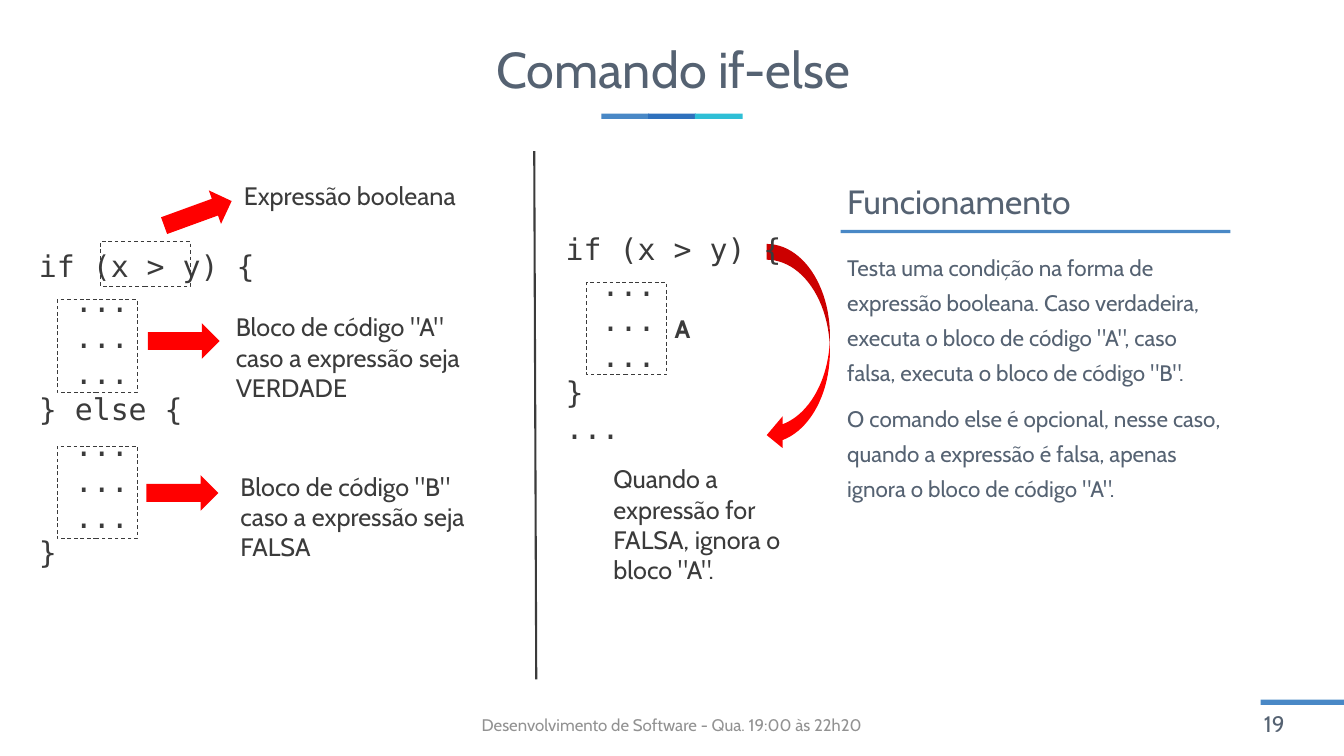
from lxml import etree
from pptx import Presentation
from pptx.dml.color import RGBColor
from pptx.enum.dml import MSO_LINE
from pptx.enum.shapes import MSO_CONNECTOR, MSO_SHAPE
from pptx.enum.text import MSO_ANCHOR, PP_ALIGN
from pptx.oxml.ns import qn
from pptx.util import Inches, Pt

RECTANGLE = MSO_SHAPE.RECTANGLE
RIGHT_ARROW = MSO_SHAPE.RIGHT_ARROW
CURVED_ARROW = MSO_SHAPE.CURVED_LEFT_ARROW
STRAIGHT = MSO_CONNECTOR.STRAIGHT
DASH = MSO_LINE.DASH
TOP, MIDDLE = MSO_ANCHOR.TOP, MSO_ANCHOR.MIDDLE
LEFT, CENTER = PP_ALIGN.LEFT, PP_ALIGN.CENTER

SANS, MONO = "Cabin", "DejaVu Sans Mono"
SLATE, DARK, GRAY = "556272", "3B3B3B", "929292"
BLUE, DEEP_BLUE, CYAN, RED = "4988C6", "2F71BD", "2FBFD6", "FF0000"
BAR = 0.08
CODE_INDENT = 0.535  # two monospaced characters at 32 pt


def color(value):
    return RGBColor.from_string(value)


def add_text(page, box, text, size=27, font=SANS, ink=DARK, bold=False,
             align=LEFT, anchor=TOP, spacing=None, before=None):
    """Each line of text is a paragraph; a leading tab indents it as code."""
    frame = page.shapes.add_textbox(*map(Inches, box)).text_frame
    frame.word_wrap = True
    frame.vertical_anchor = anchor
    for index, line in enumerate(text.split("\n")):
        para = frame.paragraphs[0] if index == 0 else frame.add_paragraph()
        para.alignment = align
        if spacing:
            para.line_spacing = spacing
        if before:
            para.space_before = Pt(before)
        if line.startswith("\t"):
            para._p.get_or_add_pPr().set("marL", str(Inches(CODE_INDENT)))
        span = para.add_run()
        span.text = line.strip()
        span.font.name = font
        span.font.size = Pt(size)
        span.font.bold = bold
        span.font.color.rgb = color(ink)


def add_code(page, box, text):
    add_text(page, box, text, size=32, font=MONO)


def add_solid(page, kind, box, fill, rotation=0):
    shape = page.shapes.add_shape(kind, *map(Inches, box))
    shape.shadow.inherit = False
    shape.fill.solid()
    shape.fill.fore_color.rgb = color(fill)
    shape.line.fill.background()
    shape.rotation = rotation


def add_dashed_frame(page, box):
    shape = page.shapes.add_shape(RECTANGLE, *map(Inches, box))
    shape.shadow.inherit = False
    shape.fill.background()
    shape.line.color.rgb = color(DARK)
    shape.line.width = Pt(1)
    shape.line.dash_style = DASH


def add_divider(page, start, end):
    line = page.shapes.add_connector(STRAIGHT, *map(Inches, start + end))
    line.line.color.rgb = color(DARK)
    line.line.width = Pt(2.25)
    etree.SubElement(line._element.spPr, qn("a:effectLst"))


def add_header(page, box):
    left, top, width, height = box
    # Three-coloured underline
    for index, fill in enumerate((BLUE, DEEP_BLUE, CYAN)):
        bar_left = left + 8.41 + index * 0.695
        add_solid(page, RECTANGLE, (bar_left, top + 1.31, 0.71, BAR), fill)
    add_text(page, box, "Comando if-else", size=54, ink=SLATE,
             align=CENTER, anchor=MIDDLE, spacing=0.9)


def add_footer(page, box):
    left, top, width, height = box
    add_text(page, (left, top + 0.07, 6.75, 0.6),
             "Desenvolvimento de Software - Qua. 19:00 às 22h20",
             size=18, ink=GRAY, align=CENTER, anchor=MIDDLE)
    # Page number under its bar
    right = left + width
    add_solid(page, RECTANGLE, (right - 1.24, top, 1.24, BAR), BLUE)
    add_text(page, (right - 1.29, top + 0.09, 1.29, 0.53), "19",
             size=24, ink=SLATE, anchor=MIDDLE)


def add_if_else(page, box):
    left, top, width, height = box
    add_code(page, (left, top + 1, 4.46, 4.95),
             "if (x > y) {\n\t...\n\t...\n\t...\n} else {\n\t...\n\t...\n\t...\n}")
    # Condition
    add_dashed_frame(page, (left + 1.02, top + 0.96, 1.33, 0.67))
    add_solid(page, RIGHT_ARROW, (left + 1.93, top + 0.28, 1.07, 0.53), RED,
              rotation=340)
    add_text(page, (left + 3.05, top, 4.08, 0.56), "Expressão booleana")
    # Code blocks: name, result, frame top, arrow offset, label offset
    blocks = (
        ("A", "VERDADE", 1.83, (1.72, 2.18), (2.93, 1.96)),
        ("B", "FALSA", 4.01, (1.7, 4.44), (3, 4.33)),
    )
    for name, result, frame_top, arrow, label in blocks:
        add_dashed_frame(page, (left + 0.37, top + frame_top, 1.19, 1.38))
        add_solid(page, RIGHT_ARROW,
                  (left + arrow[0], top + arrow[1], 1.07, 0.53), RED)
        add_text(page, (left + label[0], top + label[1], 4.08, 1.46),
                 f'Bloco de código "{name}" caso a expressão seja {result}')


def add_if_only(page, box):
    left, top, width, height = box
    # Jump past block A, drawn behind the code
    add_solid(page, CURVED_ARROW, (left + 3.09, top + 0.25, 0.94, 3.08), RED)
    add_text(page, (left + 0.71, top + 3.47, 3, 1.92),
             'Quando a expressão for FALSA, ignora o bloco "A".')
    add_code(page, (left, top, 4.46, 3.33),
             "if (x > y) {\n\t...\n\t...\n\t...\n}\n...")
    # Block A
    add_dashed_frame(page, (left + 0.41, top + 0.82, 1.19, 1.38))
    add_text(page, (left + 1.62, top + 1.23, 1.49, 0.56), "A", bold=True)


def add_explanation(page, box):
    left, top, width, height = box
    add_solid(page, RECTANGLE, (left, top + 0.84, width, 0.05), BLUE)
    add_text(page, (left, top, width, 0.81), "Funcionamento",
             size=36, ink=SLATE, anchor=MIDDLE)
    add_text(page, (left, top + 1.03, width, height - 1.03),
             "Testa uma condição na forma de expressão booleana. "
             'Caso verdadeira, executa o bloco de código "A", caso falsa, '
             'executa o bloco de código "B".\n'
             "O comando else é opcional, nesse caso, quando a expressão é "
             'falsa, apenas ignora o bloco de código "A".',
             size=24, ink=SLATE, spacing=1.3, before=12)


def main():
    deck = Presentation()
    deck.slide_width, deck.slide_height = Inches(20), Inches(11.25)
    page = deck.slides.add_slide(deck.slide_layouts[6])
    add_header(page, (0.54, 0.38, 18.96, 1.4))
    add_if_else(page, (0.48, 2.63, 7.13, 5.95))
    add_divider(page, (7.95, 2.25), (7.98, 10.11))
    add_if_only(page, (8.32, 3.38, 4.46, 5.39))
    add_explanation(page, (12.51, 2.58, 5.8, 7.02))
    add_footer(page, (6.62, 10.41, 13.38, 0.67))
    deck.save("out.pptx")


if __name__ == "__main__":
    main()
